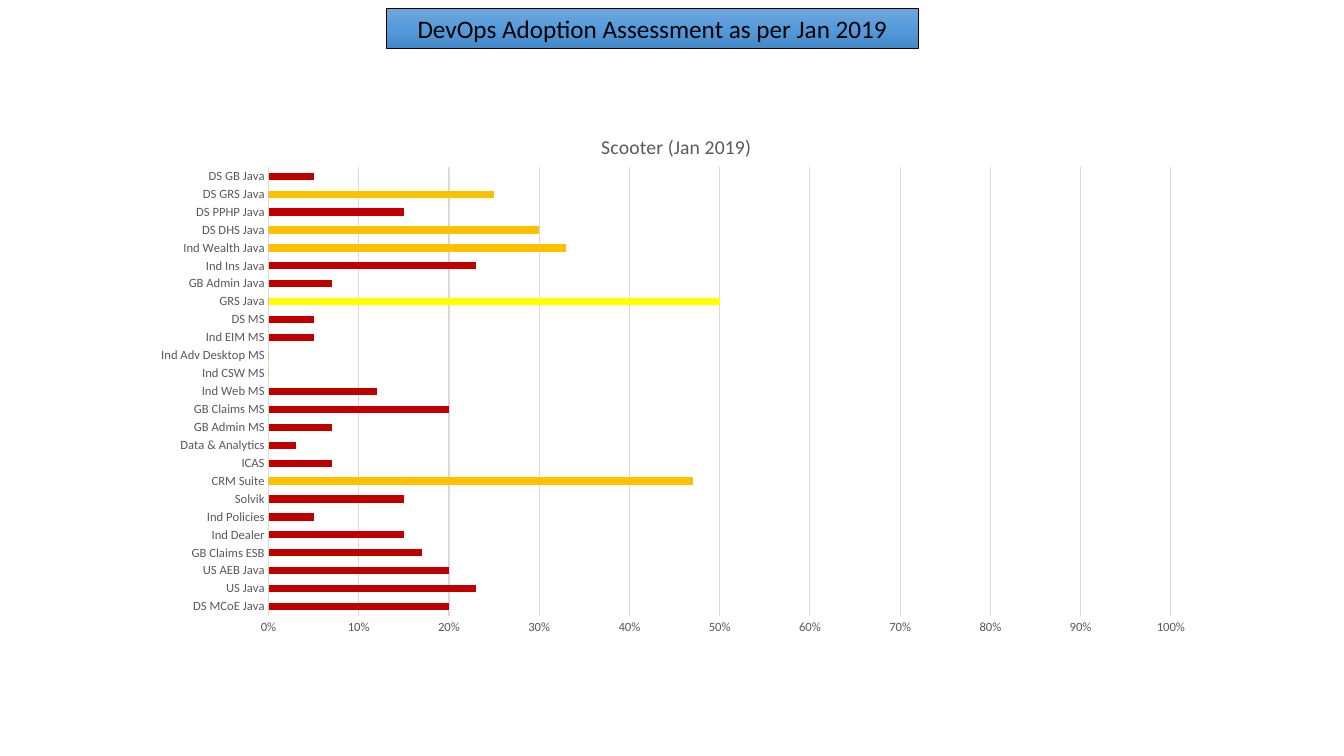
from lxml import etree
from copy import deepcopy
from pptx import Presentation
from pptx.chart.data import CategoryChartData
from pptx.dml.color import RGBColor
from pptx.enum.chart import XL_CHART_TYPE as ChartType, XL_TICK_MARK as TickMark
from pptx.enum.shapes import MSO_SHAPE as Shape
from pptx.enum.text import MSO_ANCHOR as Anchor, PP_ALIGN as Align
from pptx.oxml.ns import qn
from pptx.util import Pt

PX = 9144
FONT = "Calibri"
BLACK = RGBColor(0x00, 0x00, 0x00)
GREY = RGBColor(0x59, 0x59, 0x59)
GRID = RGBColor(0xD9, 0xD9, 0xD9)
RED = RGBColor(0xC0, 0x00, 0x00)
AMBER = RGBColor(0xFF, 0xC0, 0x00)
YELLOW = RGBColor(0xFF, 0xFF, 0x00)
BANNER_BLUES = [
    RGBColor(0x71, 0xA6, 0xDB),
    RGBColor(0x55, 0x9B, 0xDB),
    RGBColor(0x44, 0x8A, 0xCA),
]
LEVEL_COLOURS = [RED, AMBER, YELLOW, AMBER]
TEAM_SCORES = [
    ("DS MCoE Java", 0.2, 0),
    ("US Java", 0.23, 0),
    ("US AEB Java", 0.2, 0),
    ("GB Claims ESB", 0.17, 0),
    ("Ind Dealer", 0.15, 0),
    ("Ind Policies", 0.05, 0),
    ("Solvik", 0.15, 0),
    ("CRM Suite", 0.47, 1),
    ("ICAS", 0.07, 0),
    ("Data & Analytics", 0.03, 0),
    ("GB Admin MS", 0.07, 0),
    ("GB Claims MS", 0.2, 0),
    ("Ind Web MS", 0.12, 0),
    ("Ind CSW MS", 0, 0),
    ("Ind Adv Desktop MS", 0, 0),
    ("Ind EIM MS", 0.05, 0),
    ("DS MS", 0.05, 0),
    ("GRS Java", 0.5, 2),
    ("GB Admin Java", 0.07, 0),
    ("Ind Ins Java", 0.23, 0),
    ("Ind Wealth Java", 0.33, 1),
    ("DS DHS Java", 0.3, 1),
    ("DS PPHP Java", 0.15, 0),
    ("DS GRS Java", 0.25, 1),
    ("DS GB Java", 0.05, 0),
]


def set_font(font, size, colour):
    font.name = FONT
    font.size = Pt(size)
    font.bold = False
    font.color.rgb = colour


def fill_gradient(shape, colours):
    shape.fill.gradient()
    shape.fill.gradient_angle = 270
    stops = shape.element.spPr.find(qn("a:gradFill")).find(qn("a:gsLst"))
    stops.append(deepcopy(stops[-1]))
    for index, (stop, colour) in enumerate(zip(shape.fill.gradient_stops, colours)):
        stop.color.rgb = colour
        stop.position = index / (len(colours) - 1)


def add_banner(slide, left, top, width, height):
    banner = slide.shapes.add_shape(
        Shape.RECTANGLE, left * PX, top * PX, width * PX, height * PX
    )
    banner.shadow.inherit = False
    fill_gradient(banner, BANNER_BLUES)
    banner.line.color.rgb = BLACK
    banner.line.width = Pt(0.75)
    frame = banner.text_frame
    frame.word_wrap = True
    frame.vertical_anchor = Anchor.MIDDLE
    heading = frame.paragraphs[0]
    heading.text = "DevOps Adoption Assessment as per Jan 2019"
    heading.alignment = Align.CENTER
    set_font(heading.font, 18, BLACK)


def place_part(part, position, **settings):
    for old_layout in part.findall(qn("c:layout")):
        part.remove(old_layout)
    layout = etree.Element(qn("c:layout"))
    manual = etree.SubElement(layout, qn("c:manualLayout"))
    for tag, value in settings.items():
        etree.SubElement(manual, qn(f"c:{tag}")).set("val", str(value))
    part.insert(position, layout)


def style_axis(axis):
    axis.major_tick_mark = TickMark.NONE
    axis.minor_tick_mark = TickMark.NONE
    axis.format.line.fill.background()
    set_font(axis.tick_labels.font, 9, GREY)


def add_adoption_chart(slide, left, top, width, height):
    scores = CategoryChartData(number_format="0%")
    scores.categories = [team for team, _, _ in TEAM_SCORES]
    for level in range(len(LEVEL_COLOURS)):
        values = [score if band == level else 0 for _, score, band in TEAM_SCORES]
        scores.add_series(f"Series {level + 1}", values)
    chart = slide.shapes.add_chart(
        ChartType.BAR_CLUSTERED, left * PX, top * PX, width * PX, height * PX, scores
    ).chart
    set_font(chart.font, 10, BLACK)
    chart.has_legend = False
    chart.has_title = True
    title = chart.chart_title.text_frame.paragraphs[0]
    title.text = "Scooter (Jan 2019)"
    set_font(title.font, 14, GREY)

    bars = chart.plots[0]
    bars.gap_width = 150
    bars.overlap = 100
    bars.vary_by_categories = False
    for series, colour in zip(bars.series, LEVEL_COLOURS):
        series.format.fill.solid()
        series.format.fill.fore_color.rgb = colour

    style_axis(chart.category_axis)
    percent_axis = chart.value_axis
    style_axis(percent_axis)
    percent_axis.minimum_scale = 0
    percent_axis.maximum_scale = 1
    percent_axis.major_unit = 0.1
    percent_axis.tick_labels.number_format = "0%"
    percent_axis.tick_labels.number_format_is_linked = False
    percent_axis.has_major_gridlines = True
    gridline = percent_axis.major_gridlines.format.line
    gridline.color.rgb = GRID
    gridline.width = Pt(0.75)

    chart_xml = chart.element.find(qn("c:chart"))
    place_part(
        chart_xml.find(qn("c:title")), 1,
        xMode="edge", yMode="edge", x=0.43, y=0.04,
    )
    place_part(
        chart_xml.find(qn("c:plotArea")), 0,
        layoutTarget="inner", xMode="edge", yMode="edge",
        x=0.12, y=0.11, w=0.85, h=0.83,
    )


def main():
    deck = Presentation()
    deck.slide_width = 1333 * PX
    deck.slide_height = 750 * PX
    slide = deck.slides.add_slide(deck.slide_layouts[6])
    add_banner(slide, 383, 8, 528, 40)
    add_adoption_chart(slide, 140, 107, 1053, 536)
    deck.save("out.pptx")


if __name__ == "__main__":
    main()
